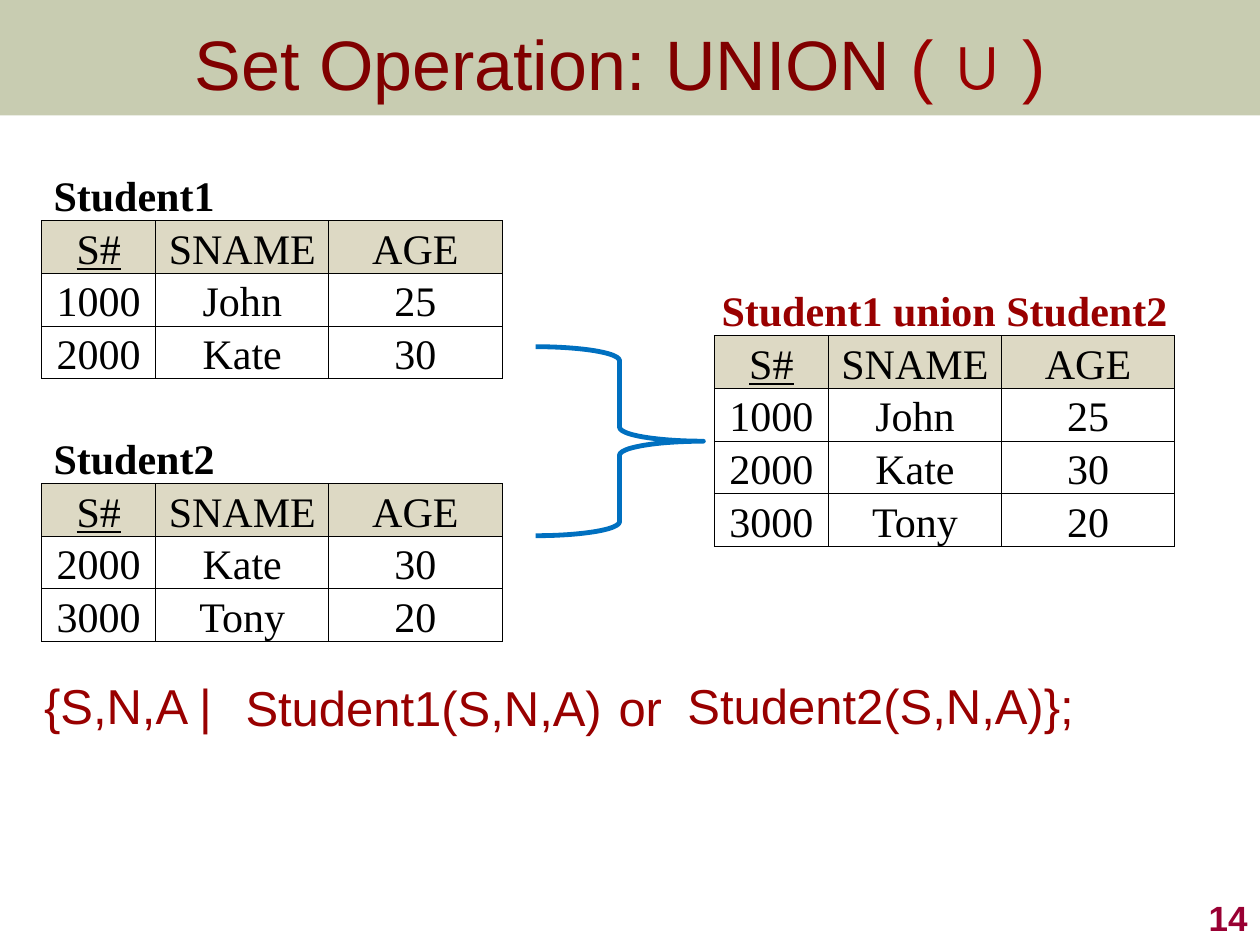
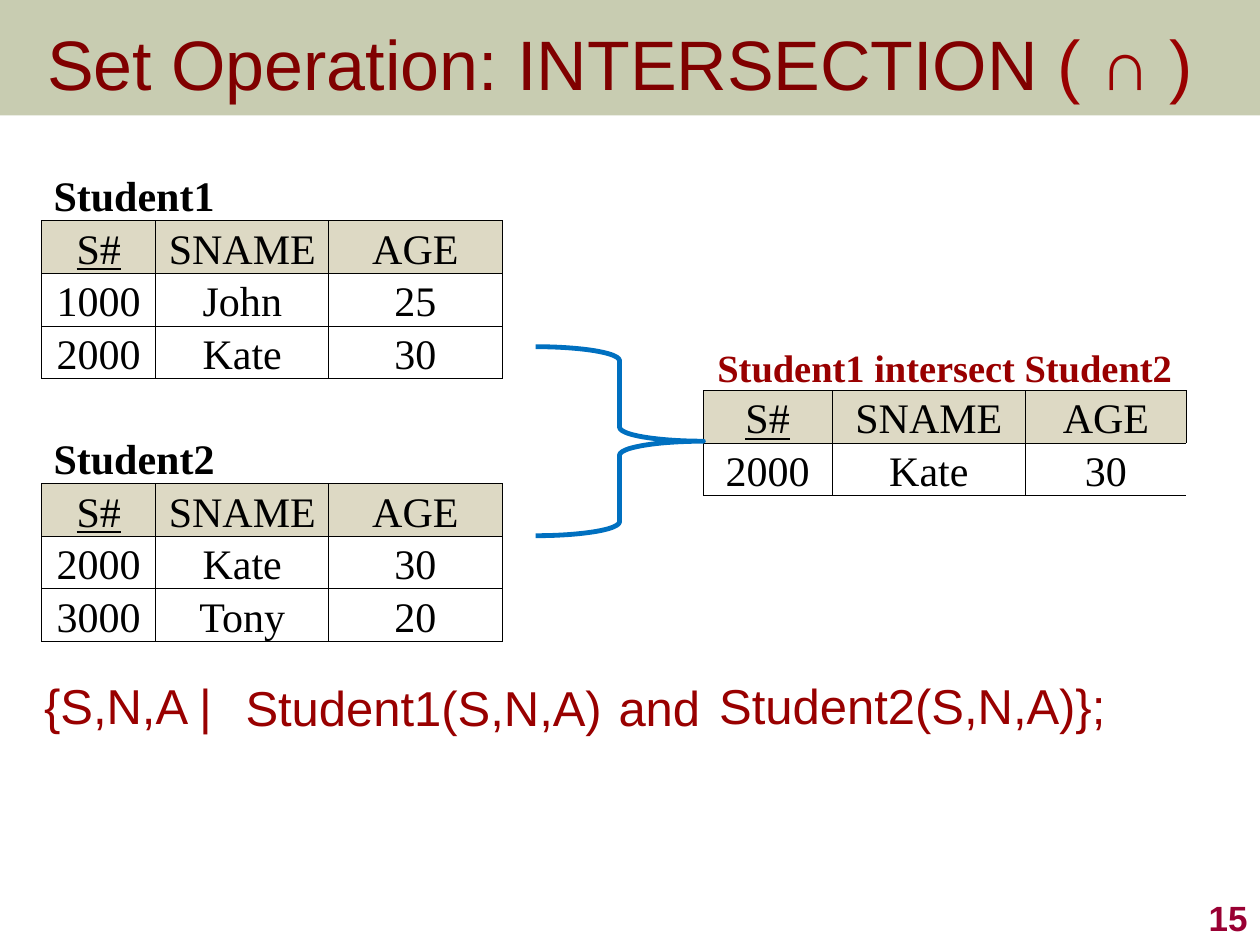
import pptx
import pptx.dml.color
import pptx.enum.shapes
import pptx.enum.text
import pptx.oxml
import pptx.oxml.ns
import pptx.util

Cm = pptx.util.Cm
Pt = pptx.util.Pt
ALIGN = pptx.enum.text.PP_ALIGN
ANCHOR = pptx.enum.text.MSO_ANCHOR
SHAPE = pptx.enum.shapes.MSO_SHAPE

COLOURS = {
    "band": "677228",
    "title": "800000",
    "accent": "990000",
    "number": "990033",
    "brace": "0070C0",
    "header": "DDD9C4",
    "white": "FFFFFF",
    "black": "000000",
}
BAND_OPACITY = 36
SLIDE_SIZE = (25.4, 19.05)
ROW_HEIGHT = 1.06
STUDENT_COLUMNS = (2.3, 3.49, 3.49)
FIELDS = ("S#", "SNAME", "AGE")
JOHN = ("1000", "John", "25")
KATE = ("2000", "Kate", "30")
TONY = ("3000", "Tony", "20")
STUDENTS = [("Student1", [JOHN, KATE]), ("Student2", [KATE, TONY])]

TITLE_FONT = {"name": "Arial", "size": Pt(40), "bold": False}
NUMBER_FONT = {"name": "Arial", "size": Pt(20), "bold": True}
FORMULA_FONT = {"name": "Arial", "size": Pt(28)}
CELL_FONT = {"name": "Times New Roman", "size": Pt(24), "bold": False}
CELL_FORMAT = {
    "vertical_anchor": ANCHOR.BOTTOM,
    "margin_left": Cm(0.03),
    "margin_right": Cm(0.03),
    "margin_top": Cm(0.03),
    "margin_bottom": 0,
}

SLIDES = [
    {
        "title": "Set Operation: UNION ",
        "symbol": [("( ", {}), ("∪", {"bold": True}), (" ) ", {})],
        "number": "14",
        "result": {
            "position": (14.4, 5.71),
            "columns": STUDENT_COLUMNS,
            "relations": [("Student1 union Student2", [JOHN, KATE, TONY])],
            "caption": {"size": Pt(24)},
        },
        "connective": ("or", 1.4),
        "second_operand_left": 12.97,
    },
    {
        "title": "Set Operation: INTERSECTION ",
        "symbol": [("( ∩ ) ", {})],
        "number": "15",
        "result": {
            "position": (14.18, 6.81),
            "columns": (2.59, 3.91, 3.23),
            "relations": [("Student1 intersect Student2", [KATE])],
            "caption": {"size": Pt(22)},
            "open_right": True,
        },
        "connective": ("and", 2.18),
        "second_operand_left": 13.61,
    },
]


def rgb(name):
    return pptx.dml.color.RGBColor.from_string(COLOURS[name])


def apply(target, formats):
    for attribute, value in formats.items():
        setattr(target, attribute, value)


def add_run(paragraph, text, colour, formats):
    run = paragraph.add_run()
    run.text = text
    apply(run.font, formats)
    run.font.color.rgb = rgb(colour)


def add_text(slide, box, text, colour, font, frame=None, paragraph=None):
    label = slide.shapes.add_textbox(*map(Cm, box)).text_frame
    apply(label, {"word_wrap": True} | (frame or {}))
    apply(label.paragraphs[0], paragraph or {})
    add_run(label.paragraphs[0], text, colour, font)


def add_title_band(slide, box, title, symbol):
    left, top, width, height = box
    band = slide.shapes.add_shape(SHAPE.RECTANGLE, *map(Cm, (left, top, width, 2.33)))
    band.shadow.inherit = False
    band.line.fill.background()
    band.fill.solid()
    band.fill.fore_color.rgb = rgb("band")
    tint = band.element.spPr.find(".//" + pptx.oxml.ns.qn("a:srgbClr"))
    alpha = f'<a:alpha {pptx.oxml.ns.nsdecls("a")} val="{BAND_OPACITY * 1000}"/>'
    tint.append(pptx.oxml.parse_xml(alpha))

    heading = slide.shapes.title
    heading.element.getparent().append(heading.element)  # in front of the band
    apply(heading, dict(zip(("left", "top", "width", "height"), map(Cm, box))))
    apply(heading.text_frame, {
        "vertical_anchor": ANCHOR.MIDDLE,
        "word_wrap": True,
        "auto_size": pptx.enum.text.MSO_AUTO_SIZE.NONE,
    })
    paragraph = heading.text_frame.paragraphs[0]
    paragraph.alignment = ALIGN.CENTER
    add_run(paragraph, title, "title", TITLE_FONT)
    for text, formats in symbol:
        add_run(paragraph, text, "accent", TITLE_FONT | formats)


def set_borders(cell, drawn, cleared):
    """Rule the drawn sides and clear the others; sides are letters of LRTB."""
    properties = cell._tc.get_or_add_tcPr()
    for side in "LRTB":
        if side in drawn:
            paint = f'<a:solidFill><a:srgbClr val="{COLOURS["black"]}"/></a:solidFill>'
        elif side in cleared:
            paint = "<a:noFill/>"
        else:
            continue
        properties.append(pptx.oxml.parse_xml(
            f'<a:ln{side} {pptx.oxml.ns.nsdecls("a")} w="{Pt(0.5)}">{paint}</a:ln{side}>'))


def format_cell(cell, sides, fill="white"):
    set_borders(cell, sides, "LRTB")
    apply(cell, CELL_FORMAT)
    cell.fill.solid()
    cell.fill.fore_color.rgb = rgb(fill)


def write_cell(cell, text, colour="black", font=None, alignment=ALIGN.CENTER):
    paragraph = cell.text_frame.paragraphs[0]
    paragraph.alignment = alignment
    add_run(paragraph, text, colour, CELL_FONT | (font or {}))


def add_relations(slide, position, columns, relations, caption=None, open_right=False):
    """Stack captioned relations in one table, a blank row between them.

    With a caption format, captions are centred over all columns in the accent
    colour; without one they stand black at the left.
    """
    row_count = sum(len(rows) + 2 for _, rows in relations) + len(relations) - 1
    size = (sum(columns), row_count * ROW_HEIGHT)
    table = slide.shapes.add_table(
        row_count, len(columns), *map(Cm, (*position, *size))).table
    apply(table, {"first_row": False, "horz_banding": False})
    for column, width in zip(table.columns, columns):
        column.width = Cm(width)
    for row in table.rows:
        row.height = Cm(ROW_HEIGHT)

    row = 0
    last = len(columns) - 1
    for index, (name, records) in enumerate(relations):
        if index:
            for column in range(len(columns)):
                format_cell(table.cell(row, column), "T")
            row += 1
        for column in range(len(columns)):
            format_cell(table.cell(row, column), "B")
        heading = table.cell(row, 0)
        heading.merge(table.cell(row, last if caption else last - 1))
        if caption:
            write_cell(heading, name, "accent", {"bold": True} | caption)
        else:
            heading.margin_left = Cm(0.24)
            write_cell(heading, name, font={"bold": True}, alignment=ALIGN.LEFT)
        row += 1
        for record in (FIELDS, *records):
            is_header = record is FIELDS
            for column, text in enumerate(record):
                is_open = open_right and column == last and not is_header
                cell = table.cell(row, column)
                format_cell(cell, "LTB" if is_open else "LRTB",
                            "header" if is_header else "white")
                write_cell(cell, text, font={"underline": is_header and column == 0})
            row += 1


def add_brace(slide, box):
    brace = slide.shapes.add_shape(SHAPE.RIGHT_BRACE, *map(Cm, box))
    brace.shadow.inherit = False
    brace.fill.background()
    brace.line.color.rgb = rgb("brace")
    brace.line.width = Pt(2.75)


def add_formula(slide, position, connective, second_operand_left):
    left, top = position
    word, word_width = connective
    lowered = 0.08
    tight = {"line_spacing": 0.9}
    unwrapped = {"word_wrap": False}
    parts = [
        ("{S,N,A |", 0, lowered, 4.06, {"margin_right": 0}, tight),
        ("Student1(S,N,A)", 4.06, 0, 7.77, unwrapped, {}),
        (word, 11.58, 0, word_width, unwrapped, {}),
        ("Student2(S,N,A)};", second_operand_left, lowered, 8.38, unwrapped, tight),
    ]
    for text, x, y, width, frame, paragraph in parts:
        add_text(slide, (left + x, top + y, width, 1.45), text, "accent",
                 FORMULA_FONT, frame, paragraph)


def add_slide_number(slide, box, number):
    add_text(slide, box, number, "number", NUMBER_FONT,
             {"vertical_anchor": ANCHOR.BOTTOM}, {"alignment": ALIGN.RIGHT})


def add_operation_slide(presentation, operation):
    slide = presentation.slides.add_slide(presentation.slide_layouts[5])
    width, height = SLIDE_SIZE
    add_title_band(slide, (0, 0, width, 2.54), operation["title"], operation["symbol"])
    add_relations(slide, (0.84, 3.39), STUDENT_COLUMNS, STUDENTS)
    add_relations(slide, **operation["result"])
    add_brace(slide, (10.8, 6.99, 3.38, 3.81))
    add_formula(slide, (0.64, 13.54), operation["connective"],
                operation["second_operand_left"])
    add_slide_number(slide, (width - 5.28, height - 1.27, 5.28, 1.27),
                     operation["number"])


def main():
    presentation = pptx.Presentation()
    presentation.slide_width, presentation.slide_height = map(Cm, SLIDE_SIZE)
    for operation in SLIDES:
        add_operation_slide(presentation, operation)
    presentation.save("out.pptx")


if __name__ == "__main__":
    main()
